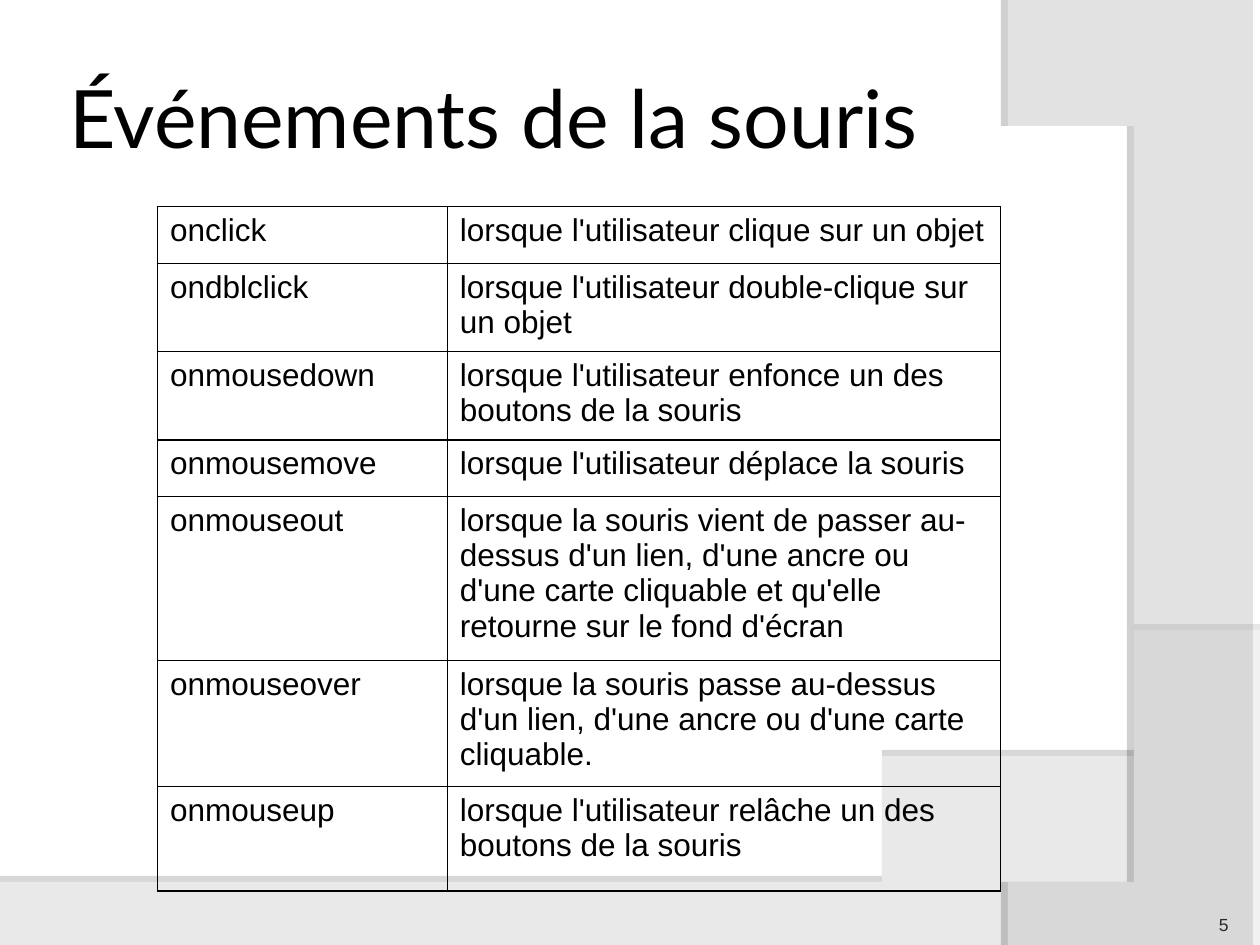
from pptx import Presentation
from pptx.dml.color import RGBColor
from pptx.enum.text import MSO_ANCHOR as Anchor, PP_ALIGN as Align
from pptx.oxml import parse_xml
from pptx.oxml.ns import nsdecls, qn
from pptx.util import Inches, Pt
from lxml.etree import SubElement

EVENTS = [
    ("onclick", "lorsque l'utilisateur clique sur un objet", 0.45),
    ("ondblclick", "lorsque l'utilisateur double-clique sur un objet", 0.7),
    ("onmousedown", "lorsque l'utilisateur enfonce un des boutons de la souris", 0.7),
    ("onmousemove", "lorsque l'utilisateur déplace la souris", 0.45),
    ("onmouseout", "lorsque la souris vient de passer au-dessus d'un lien, d'une ancre "
     "ou d'une carte cliquable et qu'elle retourne sur le fond d'écran", 1.3),
    ("onmouseover", "lorsque la souris passe au-dessus d'un lien, d'une ancre "
     "ou d'une carte cliquable.", 1),
    ("onmouseup", "lorsque l'utilisateur relâche un des boutons de la souris", 0.83),
]
COLUMNS = (2.3, 4.39)
OUTER, INNER = 1.08, 0.45


def color(value):
    return RGBColor.from_string(value)


def bezier(p0, p1, p2, p3, steps=48):
    points = []
    for i in range(1, steps + 1):
        t = i / steps
        u = 1 - t
        weights = (u ** 3, 3 * u * u * t, 3 * u * t * t, t ** 3)
        points.append(tuple(sum(w * p[axis] for w, p in zip(weights, (p0, p1, p2, p3)))
                            for axis in (0, 1)))
    return points


class SlideBuilder:
    def __init__(self, prs):
        self.slide = prs.slides.add_slide(prs.slide_layouts[6])
        self.ink = "000000"
        self.font = "Arial"

    def wave(self, points, opacity, shadow_opacity, distance, direction):
        builder = self.slide.shapes.build_freeform(*points[0], scale=Inches(1))
        builder.add_line_segments(points[1:], close=True)
        sp = builder.convert_to_shape()
        sp.line.fill.background()
        sp.fill.solid()
        sp.fill.fore_color.rgb = color("FFFFFF")
        fill = sp._element.spPr.find(qn("a:solidFill"))
        SubElement(fill[0], qn("a:alpha"), val=str(opacity * 1000))
        sp._element.spPr.append(parse_xml(
            f'<a:effectLst {nsdecls("a")}><a:outerShdw blurRad="0" dist="{Pt(distance)}" '
            f'dir="{direction * 60000}" algn="ctr" rotWithShape="0"><a:srgbClr val="000000">'
            f'<a:alpha val="{shadow_opacity * 1000}"/></a:srgbClr></a:outerShdw></a:effectLst>'))

    def add_text(self, tf, text, size, font=None, ink=None, align=Align.LEFT):
        p = tf.paragraphs[0]
        p.alignment = align
        r = p.add_run()
        r.text = text
        r.font.size = Pt(size)
        r.font.name = font or self.font
        r.font.color.rgb = color(ink or self.ink)
        return p

    def text_box(self, box, text, size, anchor, inset, **style):
        sp = self.slide.shapes.add_textbox(*map(Inches, box))
        tf = sp.text_frame
        tf.word_wrap = True
        tf.vertical_anchor = anchor
        tf.margin_left = tf.margin_right = tf.margin_top = tf.margin_bottom = Inches(inset)
        self.add_text(tf, text, size, **style)

    def border(self, cell, widths):
        tc_pr = cell._tc.get_or_add_tcPr()
        for side, width in widths.items():
            tc_pr.append(parse_xml(
                f'<a:ln{side} {nsdecls("a")} w="{Pt(width)}"><a:solidFill>'
                f'<a:srgbClr val="{self.ink}"/></a:solidFill></a:ln{side}>'))

    def table(self, left, top, columns, events):
        heights = [event[2] for event in events]
        box = (left, top, sum(columns), sum(heights))
        table = self.slide.shapes.add_table(len(events), len(columns), *map(Inches, box)).table
        table.first_row = table.horz_banding = False
        for column, width in zip(table.columns, columns):
            column.width = Inches(width)
        for row, event in zip(table.rows, events):
            row.height = Inches(event[2])
            for i, cell in enumerate(row.cells):
                self.border(cell, {"L": INNER if i else OUTER, "R": OUTER if i else INNER,
                                   "T": OUTER, "B": OUTER})
                cell.fill.background()
                cell.margin_left = cell.margin_right = Inches(0.1)
                cell.margin_top = cell.margin_bottom = Inches(0.05)
                p = self.add_text(cell.text_frame, event[i], 18)
                p.space_before = Pt(4.5)


def main():
    prs = Presentation()
    prs.slide_width, prs.slide_height = Inches(10), Inches(7.5)
    s = SlideBuilder(prs)
    bottom_curve = bezier((10, 5.2), (5.59, 7.29), (3.91, 7.19), (0, 7.05))
    side_curve = bezier((8.21, 7.5), (9.35, 6.19), (10.18, 3), (8, 0))
    s.wave([(0, 7.05), (0, 7.51), (10, 7.51), (10, 5.2)] + bottom_curve, 45, 35, 3.5, 270)
    s.wave([(10, 0.02), (10, 7.5), (8.21, 7.5)] + side_curve, 40, 45, 4, 180)
    s.text_box((0.5, 0.3, 8.17, 1.25), "Événements de la souris", 46, Anchor.MIDDLE, 0.05,
               font="Lato")
    s.text_box((8.92, 7.02, 0.83, 0.4), "5", 10, Anchor.BOTTOM, 0, ink="292929",
               align=Align.RIGHT)
    s.table(1.25, 1.64, COLUMNS, EVENTS)
    prs.save("out.pptx")


if __name__ == "__main__":
    main()
